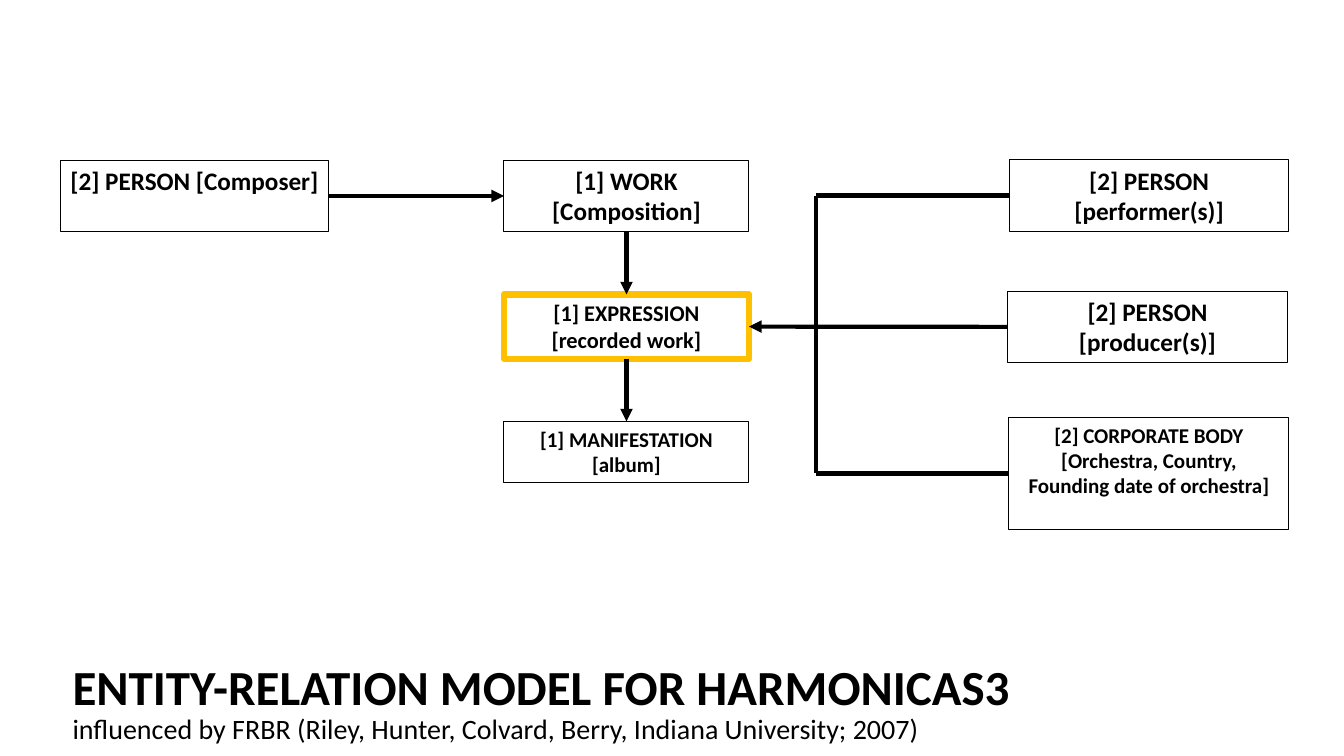
import pptx
import pptx.util
import pptx.dml.color
import pptx.enum.shapes
import pptx.enum.text
import pptx.oxml.ns
from lxml import etree

Pt = pptx.util.Pt
COLORS = {"black": "000000", "white": "FFFFFF", "gold": "FFC000"}
TOP, BOTTOM, LEFT, RIGHT = 0, 2, 1, 3


class Diagram:
    """Style and current slide."""

    font = "Calibri"

    def __init__(self, slide):
        self.slide = slide

    def color(self, name):
        return pptx.dml.color.RGBColor.from_string(COLORS[name])

    def set_font(self, font, size, bold):
        font.name, font.size, font.bold = self.font, Pt(size), bold
        font.color.rgb = self.color("black")

    def title(self, heading, subheading, left, top, width, height):
        sp = self.slide.shapes.title
        sp.left, sp.top, sp.width, sp.height = Pt(left), Pt(top), Pt(width), Pt(height)
        tf = sp.text_frame
        tf.word_wrap = True
        tf.auto_size = pptx.enum.text.MSO_AUTO_SIZE.NONE
        tf.vertical_anchor = pptx.enum.text.MSO_ANCHOR.BOTTOM
        p = tf.paragraphs[0]
        p.alignment = pptx.enum.text.PP_ALIGN.LEFT
        p.line_spacing = 0.9
        r = p.add_run()
        r.text = heading
        self.set_font(r.font, 35, True)
        p.add_line_break()
        r = p.add_run()
        r.text = subheading
        self.set_font(r.font, 20, False)

    def box(self, left, top, width, height, lines=(), size=18,
            line="black", weight=0.75, fill=None):
        sp = self.slide.shapes.add_shape(
            pptx.enum.shapes.MSO_SHAPE.RECTANGLE,
            Pt(left), Pt(top), Pt(width), Pt(height))
        sp.shadow.inherit = False
        if fill:
            sp.fill.solid()
            sp.fill.fore_color.rgb = self.color(fill)
        else:
            sp.fill.background()
        sp.line.color.rgb = self.color(line)
        sp.line.width = Pt(weight)
        tf = sp.text_frame
        tf.word_wrap = True
        tf.vertical_anchor = pptx.enum.text.MSO_ANCHOR.TOP
        for i, text in enumerate(lines):
            p = tf.add_paragraph() if i else tf.paragraphs[0]
            p.text = text
            p.alignment = pptx.enum.text.PP_ALIGN.CENTER
            self.set_font(p.font, size, True)
        return sp

    def line(self, start, end, arrow=False):
        """Each end is a (box, side) pair or an (x, y) point in points."""
        joined = [hasattr(e[0], "shape_id") for e in (start, end)]
        points = [(0, 0) if j else e for j, e in zip(joined, (start, end))]
        c = self.slide.shapes.add_connector(
            pptx.enum.shapes.MSO_CONNECTOR.STRAIGHT,
            *[Pt(v) for point in points for v in point])
        if joined[0]:
            c.begin_connect(*start)
        if joined[1]:
            c.end_connect(*end)
        c.line.color.rgb = self.color("black")
        c.line.width = Pt(3)
        qn = pptx.oxml.ns.qn
        if arrow:
            etree.SubElement(c.line._get_or_add_ln(), qn("a:tailEnd"), type="triangle")
        etree.SubElement(c._element.spPr, qn("a:effectLst"))


def main():
    prs = pptx.Presentation()
    prs.slide_width, prs.slide_height = Pt(960), Pt(540)
    d = Diagram(prs.slides.add_slide(prs.slide_layouts[5]))

    # White band and title
    d.box(0, 31, 926.6, 141.8, line="white", weight=1.75, fill="white")
    d.title("ENTITY-RELATION MODEL FOR HARMONICAS3 ",
            "influenced by FRBR (Riley, Hunter, Colvard, Berry, Indiana University; 2007)",
            44.6, 458.6, 868.3, 77.8)

    # Central chain
    work = d.box(360, 114.5, 175, 51, ["[1] WORK", "[Composition]"])
    expression = d.box(360, 210.3, 175, 46, ["[1] EXPRESSION", "[recorded work]"],
                       size=16, line="gold", weight=4.5)
    manifestation = d.box(360, 301, 175, 44, ["[1] MANIFESTATION", "[album]"], size=15)

    # Contributors
    performer = d.box(721.2, 114.2, 199.4, 51, ["[2] PERSON", "[performer(s)]"])
    producer = d.box(720, 208, 199.4, 51, ["[2] PERSON", "[producer(s)]"])
    orchestra = d.box(720.7, 298.2, 200, 80,
                      ["[2] CORPORATE BODY",
                       "[Orchestra, Country, Founding date of orchestra]"], size=15)
    composer = d.box(43.2, 114.5, 191.5, 51, ["[2] PERSON [Composer]"])

    # Arrows between boxes
    for start, end in [((composer, RIGHT), (work, LEFT)),
                       ((work, BOTTOM), (expression, TOP)),
                       ((expression, BOTTOM), (manifestation, TOP)),
                       ((producer, LEFT), (expression, RIGHT))]:
        d.line(start, end, arrow=True)

    # Bracket joining performer and orchestra
    bracket_x = 583
    ends = [(bracket_x, (b.top + b.height / 2) / Pt(1)) for b in (performer, orchestra)]
    d.line(*ends)
    for corner, b in zip(ends, (performer, orchestra)):
        d.line(corner, (b, LEFT))

    prs.save("out.pptx")


if __name__ == "__main__":
    main()
